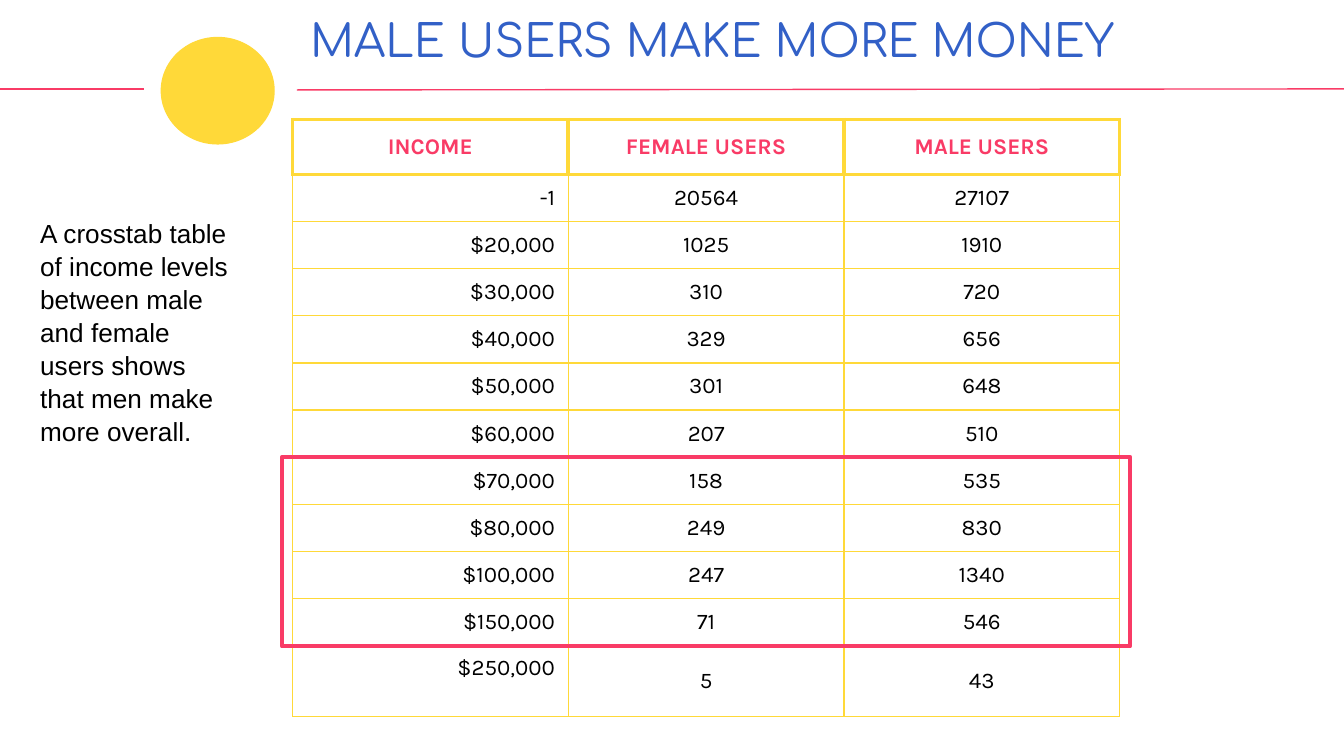
from dataclasses import dataclass

from lxml.etree import SubElement
from pptx import Presentation
from pptx.dml.color import RGBColor
from pptx.enum.shapes import MSO_CONNECTOR, MSO_SHAPE as Shape
from pptx.enum.text import MSO_ANCHOR as Anchor, PP_ALIGN as Align
from pptx.oxml import parse_xml
from pptx.oxml.ns import nsdecls, qn
from pptx.util import Cm, Pt


@dataclass(frozen=True)
class Theme:
    blue: str = "3260C7"
    pink: str = "F93B66"
    yellow: str = "FFD939"
    black: str = "000000"
    title_font: str = "Comfortaa"
    table_font: str = "Karla"
    note_font: str = "Arial"
    title_size: float = 24
    note_size: float = 14
    table_size: float = 12
    thin: float = 0.75
    thick: float = 2.25


class SlideBuilder:
    def __init__(self, slide, theme):
        self.shapes = slide.shapes
        self.theme = theme

    def style(self, paragraph, font, size, color, bold=False):
        paragraph.font.name = font
        paragraph.font.size = Pt(size)
        paragraph.font.bold = bold
        paragraph.font.color.rgb = RGBColor.from_string(color)

    def rule(self, x1, y1, x2, y2):
        rule = self.shapes.add_connector(
            MSO_CONNECTOR.STRAIGHT, Cm(x1), Cm(y1), Cm(x2), Cm(y2))
        rule.line.color.rgb = RGBColor.from_string(self.theme.pink)
        rule.line.width = Pt(self.theme.thin)
        SubElement(rule._element.spPr, qn("a:effectLst"))

    def shape(self, kind, box, color, width, filled):
        shape = self.shapes.add_shape(kind, *map(Cm, box))
        shape.shadow.inherit = False
        if filled:
            shape.fill.solid()
            shape.fill.fore_color.rgb = RGBColor.from_string(color)
        else:
            shape.fill.background()
        shape.line.color.rgb = RGBColor.from_string(color)
        shape.line.width = Pt(width)

    def text(self, words, box, font, size, color, spacing=1.0):
        frame = self.shapes.add_textbox(*map(Cm, box)).text_frame
        frame.word_wrap = True
        frame.margin_left = frame.margin_right = Cm(0.25)
        frame.margin_top = frame.margin_bottom = Cm(0.25)
        paragraph = frame.paragraphs[0]
        paragraph.text = words
        paragraph.line_spacing = spacing
        self.style(paragraph, font, size, color)

    def borders(self, cell, **widths):
        properties = cell._tc.get_or_add_tcPr()
        for position, side in enumerate("LRTB"):
            width = Pt(widths.get(side, self.theme.thin))
            properties.insert(position, parse_xml(
                f'<a:ln{side} {nsdecls("a")} w="{width}"><a:solidFill>'
                f'<a:srgbClr val="{self.theme.yellow}"/></a:solidFill></a:ln{side}>'))

    def cell(self, cell, words, align, color, bold):
        cell.fill.background()
        cell.vertical_anchor = Anchor.MIDDLE
        cell.margin_left = cell.margin_right = Cm(0.25)
        cell.margin_top = cell.margin_bottom = Cm(0.18)
        paragraph = cell.text_frame.paragraphs[0]
        paragraph.text = words
        paragraph.alignment = align
        self.style(paragraph, self.theme.table_font, self.theme.table_size, color, bold)

    def table(self, rows, left, top, column_width, heights):
        columns = len(rows[0])
        table = self.shapes.add_table(
            len(rows), columns, Cm(left), Cm(top),
            Cm(column_width * columns), Cm(sum(heights))).table
        table.first_row = table.horz_banding = False
        for column in table.columns:
            column.width = Cm(column_width)
        thick = self.theme.thick
        for r, (values, height) in enumerate(zip(rows, heights)):
            table.rows[r].height = Cm(height)
            header = r == 0
            edges = dict.fromkeys("LRTB", thick) if header else {"T": thick} if r == 1 else {}
            for c, value in enumerate(values):
                cell = table.cell(r, c)
                align = Align.RIGHT if c == 0 and not header else Align.CENTER
                color = self.theme.pink if header else self.theme.black
                self.cell(cell, str(value), align, color, header)
                self.borders(cell, **edges)
        return table


INCOME_ROWS = [
    ("INCOME", "FEMALE USERS", "MALE USERS"),
    ("-1", 20564, 27107),
    ("$20,000", 1025, 1910),
    ("$30,000", 310, 720),
    ("$40,000", 329, 656),
    ("$50,000", 301, 648),
    ("$60,000", 207, 510),
    ("$70,000", 158, 535),
    ("$80,000", 249, 830),
    ("$100,000", 247, 1340),
    ("$150,000", 71, 546),
    ("$250,000", 5, 43),
]


def main():
    theme = Theme()
    deck = Presentation()
    deck.slide_width, deck.slide_height = Cm(25.4), Cm(14.29)
    builder = SlideBuilder(deck.slides.add_slide(deck.slide_layouts[6]), theme)

    # Title band: rules, title and sun
    builder.rule(0, 1.68, 2.72, 1.68)
    builder.rule(5.61, 1.7, 25.4, 1.68)
    builder.text("MALE USERS MAKE MORE MONEY", (5.61, 0, 18.36, 1.32),
                 theme.title_font, theme.title_size, theme.blue)
    builder.shape(Shape.OVAL, (3.05, 0.71, 2.13, 2.01), theme.yellow, theme.thin, True)

    # Income table, with the top bracket's label at the top of its taller row
    heights = [1.04] + [0.89] * (len(INCOME_ROWS) - 2) + [1.34]
    incomes = builder.table(INCOME_ROWS, 5.53, 2.26, 5.21, heights)
    incomes.cell(len(INCOME_ROWS) - 1, 0).vertical_anchor = Anchor.TOP

    # Frame around the higher incomes
    builder.shape(Shape.RECTANGLE, (5.33, 8.64, 16.03, 3.58), theme.pink, theme.thick, False)

    # Side note
    builder.text("A crosstab table of income levels between male and female users "
                 "shows that men make more overall.", (0.51, 3.84, 4.11, 6.86),
                 theme.note_font, theme.note_size, theme.black, spacing=1.05)

    deck.save("out.pptx")


if __name__ == "__main__":
    main()
